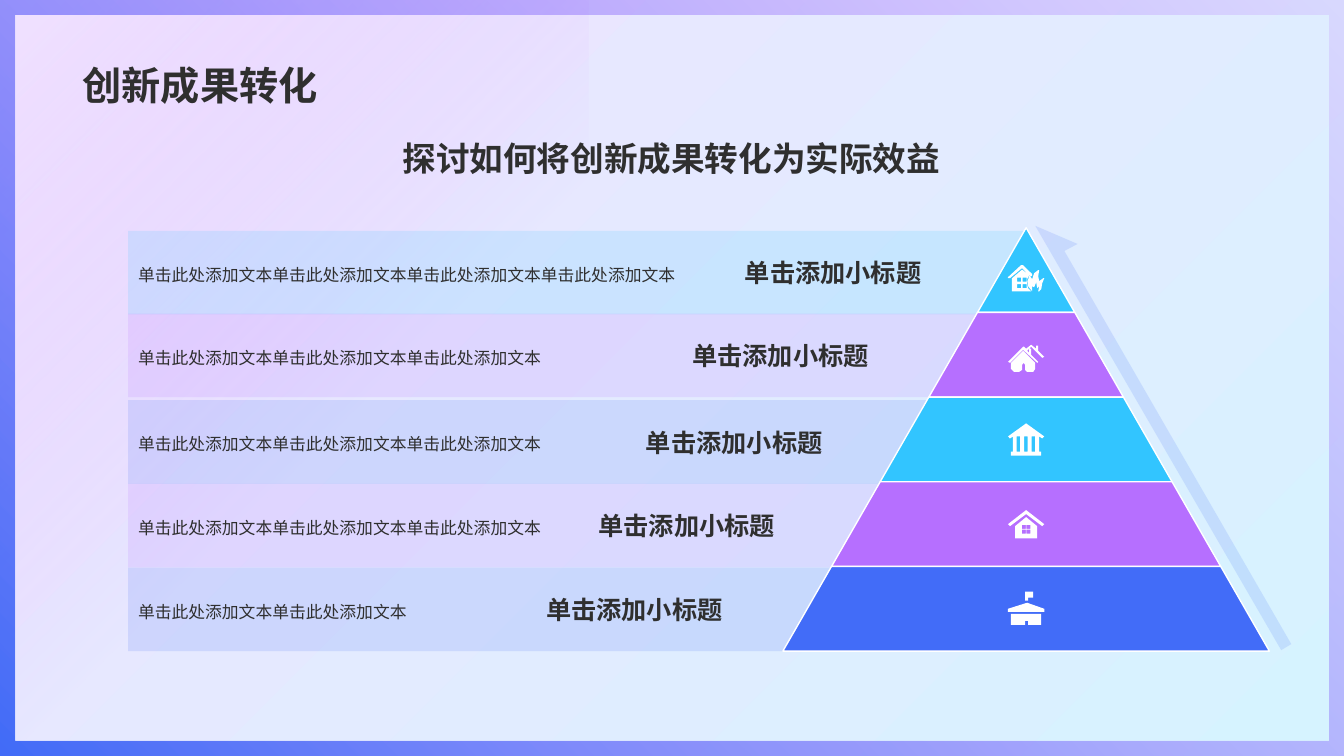
from dataclasses import dataclass

from lxml.etree import SubElement
from pptx import Presentation
from pptx.dml.color import RGBColor
from pptx.enum.shapes import MSO_SHAPE as Shape
from pptx.enum.text import MSO_ANCHOR as Anchor, PP_ALIGN as Align
from pptx.oxml.ns import qn
from pptx.util import Emu, Inches, Pt

SLIDE_W, SLIDE_H = Inches(13.33), Inches(7.5)
BLUE, SKY, PURPLE = "426CF8", "32C5FF", "B66FFF"
INK, WHITE, PINK = "2F2F2F", "FFFFFF", "F0E2FF"
ICON_CELL = SLIDE_H // 750

# Positions are percentages of the slide's width and height
BAR_X, BAR_W, BAR_H = 9.53, 66.9, 11.07
HEAD_W, HEAD_H, HEAD_DROP = 18.75, 5.2, 2.93
APEX_X, APEX_Y, LEVEL_H, HALF_STEP = 76.35, 30.13, 11.2, 3.62
ICON_X = 75
ARROW = [(77.03, 29.87), (80.18, 32.27), (79.2, 33.2), (96.08, 85.2), (95.33, 86)]

HEADING = "单击添加小标题"
PHRASE = "单击此处添加文本"

Points = list[tuple[float, float]]


def box(x: float, y: float, w: float, h: float) -> Points:
    return [(x, y), (x + w, y), (x + w, y + h), (x, y + h)]


# Icon outlines, in icon cells
BURNING_HOUSE = [
    [(0, 12), (13, 0), (15, 0), (24, 9), (24, 11), (22, 11), (14, 3), (2, 13), (0, 13)],
    [(4, 13), (14, 4.5), (21, 10), (19, 14), (19, 19), (20, 23), (23, 26), (4, 26)],
    *[box(x, y, 4, 4) for x in (9, 14.5) for y in (12.5, 19)],
    [(24, 26), (20, 21), (19.5, 16), (21, 11), (22, 11), (24, 14), (26, 8), (30, 5),
     (31, 5), (30, 11), (31, 16), (35, 13), (36, 13), (34, 18), (33, 24), (31, 26),
     (30, 26), (31, 21), (29, 23), (28, 17), (26, 22), (24, 21)],
]
CHIMNEY_HOUSE = [
    [(15, 6), (27, 18), (27, 24), (25, 27), (19, 27), (17, 25), (17, 20), (15.5, 18),
     (14, 20), (14, 25), (11, 27), (6, 27), (3, 24), (3, 18)],
    [(0, 17), (15, 2), (16, 2), (18, 4), (23, 0), (28, 4), (28, 1), (30, 1), (30, 6),
     (36, 12), (34, 13), (23, 2), (19, 6), (21, 8), (21, 4), (23, 4), (23, 10),
     (30, 17), (29, 18), (15, 5), (2, 18)],
]
BANK = [
    [(18, 0), (36, 13), (34, 15), (31, 13), (31, 28), (33, 28), (33, 32), (3, 32),
     (3, 28), (5, 28), (5, 13), (2, 15), (0, 13)],
    *[box(x, 13, 3.5, 15) for x in (8.5, 16, 23.5)],
]
WINDOW_HOUSE = [
    [(18, 7), (29, 16), (29, 28), (7, 28), (7, 16)],
    [(18, 0), (36, 14), (34, 16), (18, 4), (2, 16), (0, 14)],
    *[box(x, y, 4, 4) for x in (13.7, 18.3) for y in (14.7, 19.3)],
]
FLAG_HALL = [
    [(3, 22), (33, 22), (33, 33), (20, 33), (20, 29), (17, 29), (17, 33), (3, 33)],
    [(19, 11), (36, 17), (36, 20), (0, 20), (0, 17)],
    [(17, 0), (25, 0), (25, 6), (20, 6), (20, 9), (17, 9)],
]


@dataclass
class Level:
    color: str
    bar_color: str
    bar_y: float
    head_x: float
    phrases: int
    icon: list[Points]
    icon_y: float


LEVELS = [
    Level(SKY, SKY, 30.53, 54.68, 4, BURNING_HOUSE, 35.07),
    Level(PURPLE, PURPLE, 41.47, 50.78, 3, CHIMNEY_HOUSE, 45.6),
    Level(SKY, BLUE, 52.93, 47.33, 3, BANK, 56),
    Level(PURPLE, PURPLE, 64, 43.8, 3, WINDOW_HOUSE, 67.47),
    Level(BLUE, BLUE, 75.07, 39.9, 2, FLAG_HALL, 78.27),
]


def rgb(value: str) -> RGBColor:
    return RGBColor.from_string(value)


def col(share: float) -> Emu:
    return Emu(round(SLIDE_W * share / 100))


def row(share: float) -> Emu:
    return Emu(round(SLIDE_H * share / 100))


def area(x: float, y: float, w: float, h: float) -> tuple[Emu, Emu, Emu, Emu]:
    return col(x), row(y), col(w), row(h)


def fade(sp, percent: int) -> None:
    """Make the last fill colour of a shape partly transparent."""
    color = list(sp._element.spPr.iter(qn("a:srgbClr")))[-1]
    SubElement(color, qn("a:alpha")).set("val", str(percent * 1000))


def paint_gradient(fill, start: str, end: str, angle: int, stop: float = 1) -> None:
    fill.gradient()
    fill.gradient_angle = angle
    for mark, color, place in zip(fill.gradient_stops, (start, end), (0, stop)):
        mark.color.rgb = rgb(color)
        mark.position = place


def paint(sp, color: str, alpha: int = 100, outline: str = "") -> None:
    sp.shadow.inherit = False
    sp.fill.solid()
    sp.fill.fore_color.rgb = rgb(color)
    if alpha < 100:
        fade(sp, alpha)
    if outline:
        sp.line.color.rgb = rgb(outline)
        sp.line.width = Pt(1)
    else:
        sp.line.fill.background()


def write(sp, text: str, size: int, bold: bool = False, align=Align.LEFT,
          anchor=Anchor.MIDDLE, spacing: float = 1) -> None:
    tf = sp.text_frame
    tf.word_wrap = True
    tf.vertical_anchor = anchor
    p = tf.paragraphs[0]
    p.alignment, p.line_spacing = align, spacing
    r = p.add_run()
    r.text = text
    for name, value in {"name": "Arial", "size": Pt(size), "bold": bold}.items():
        setattr(r.font, name, value)
    r.font.color.rgb = rgb(INK)


def add_outline(shapes, contours: list[Points]):
    """Build one freeform from contours given in EMU."""
    first, *others = contours
    builder = shapes.build_freeform(*first[0], scale=1)
    builder.add_line_segments(first[1:], close=True)
    for points in others:
        builder.move_to(*points[0])
        builder.add_line_segments(points[1:], close=True)
    return builder.convert_to_shape()


def add_polygon(shapes, points: Points):
    return add_outline(shapes, [[(col(x), row(y)) for x, y in points]])


def add_backdrop(slide) -> None:
    paint_gradient(slide.background.fill, PINK, "D6F3FF", 315)
    panel = slide.shapes.add_shape(Shape.RECTANGLE, *area(0, 0, 43.8, 100))
    paint_gradient(panel.fill, PINK, "E2C5FF", 315, 0.57)
    frame = slide.shapes.add_shape(Shape.FRAME, *area(0, 0, 100, 100))
    frame.adjustments[0] = 0.021
    paint_gradient(frame.fill, BLUE, PURPLE, 45)
    for sp, alpha in ((panel, 0), (frame, 16)):
        fade(sp, alpha)
        sp.shadow.inherit = False
        sp.line.fill.background()


def add_level(shapes, index: int, level: Level) -> None:
    # Band with its description
    bar = shapes.add_shape(Shape.RECTANGLE, *area(BAR_X, level.bar_y, BAR_W, BAR_H))
    paint(bar, level.bar_color, 15)
    write(bar, PHRASE * level.phrases, 12, spacing=1.2)
    # Slice of the pyramid
    y, top, base = APEX_Y + index * LEVEL_H, index * HALF_STEP, (index + 1) * HALF_STEP
    piece = add_polygon(shapes, [(APEX_X - top, y), (APEX_X + top, y),
                                 (APEX_X + base, y + LEVEL_H), (APEX_X - base, y + LEVEL_H)])
    paint(piece, level.color, outline=WHITE)
    # Icon and heading
    icon = add_outline(shapes, [[(col(ICON_X) + x * ICON_CELL, row(level.icon_y) + dy * ICON_CELL)
                                 for x, dy in points] for points in level.icon])
    paint(icon, WHITE)
    head = shapes.add_textbox(*area(level.head_x, level.bar_y + HEAD_DROP, HEAD_W, HEAD_H))
    write(head, HEADING, 18, bold=True)


def main() -> None:
    prs = Presentation()
    prs.slide_width, prs.slide_height = SLIDE_W, SLIDE_H
    slide = prs.slides.add_slide(prs.slide_layouts[5])
    shapes = slide.shapes
    add_backdrop(slide)

    # Title, brought in front of the backdrop
    title = shapes.title
    title.left, title.top, title.width, title.height = area(5.4, 1.87, 89.1, 13.07)
    write(title, "创新成果转化", 28, bold=True, anchor=Anchor.BOTTOM)
    shapes._spTree.append(title._element)

    subtitle = shapes.add_textbox(*area(5.4, 16.53, 89.1, 8.8))
    write(subtitle, "探讨如何将创新成果转化为实际效益", 24, bold=True,
          align=Align.CENTER, anchor=Anchor.TOP, spacing=1.2)

    # Rising arrow and pyramid
    paint(add_polygon(shapes, ARROW), BLUE, 15)
    for index, level in enumerate(LEVELS):
        add_level(shapes, index, level)
    prs.save("out.pptx")


if __name__ == "__main__":
    main()
